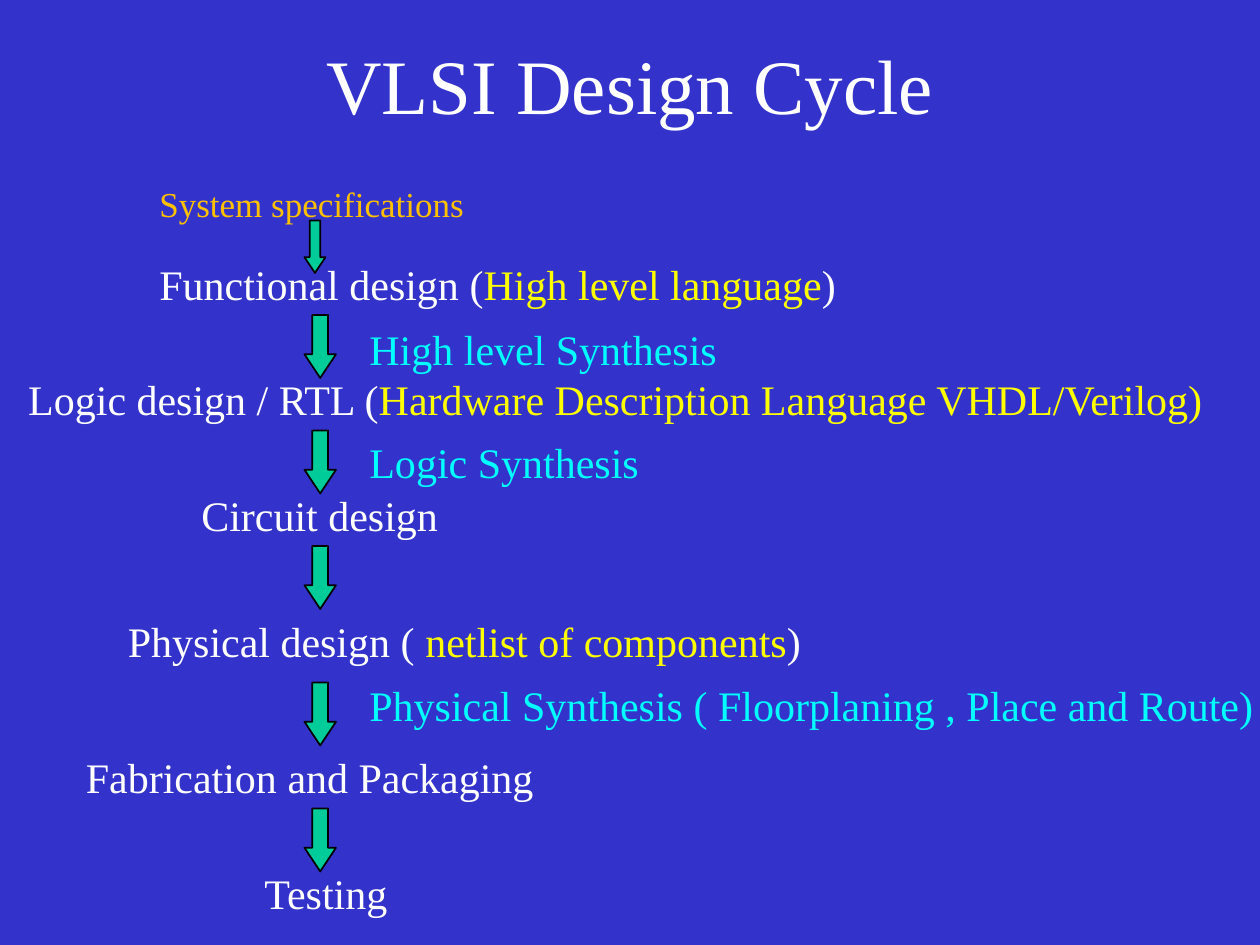
from dataclasses import dataclass

import pptx
import pptx.dml.color
import pptx.enum.shapes
import pptx.enum.text
import pptx.util

Pt = pptx.util.Pt
Anchor = pptx.enum.text.MSO_ANCHOR
Align = pptx.enum.text.PP_ALIGN
AutoSize = pptx.enum.text.MSO_AUTO_SIZE


@dataclass(frozen=True)
class Theme:
    font: str = "Times New Roman"
    background: str = "3333CC"
    text: str = "FFFFFF"
    specification: str = "FFC000"
    language: str = "FFFF00"
    synthesis: str = "00FFFF"
    arrow: str = "00CC99"
    outline: str = "000000"
    title_size: int = 44
    body_size: int = 24
    small_size: int = 20


THEME = Theme()

# left, top, width, height of a step in the flow box, type size, coloured runs
STEPS = [
    (75, 5, 222, 32, THEME.small_size,
     [("System specifications", THEME.specification)]),
    (75, 48, 456, 36, THEME.body_size,
     [("Functional design (", THEME.text),
      ("High level language", THEME.language), (")", THEME.text)]),
    (0, 114, 702, 36, THEME.body_size,
     [("Logic design / RTL (", THEME.text),
      ("Hardware Description Language VHDL/Verilog)", THEME.language)]),
    (99, 180, 540, 36, THEME.body_size, [("Circuit design", THEME.text)]),
    (57, 252, 462, 65, THEME.body_size,
     [("Physical design ( ", THEME.text),
      ("netlist of components", THEME.language), (")", THEME.text)]),
    (33, 330, 330, 36, THEME.body_size,
     [("Fabrication and Packaging", THEME.text)]),
    (135, 396, 102, 36, THEME.body_size, [("Testing", THEME.text)]),
]

# top, width, height
ARROWS = [(30, 12, 30)] + [(top, 18, 36) for top in (84, 150, 216, 294, 366)]
ARROW_LEFT = 165

# top, width, text
SYNTHESES = [
    (85.5, 213, "High level Synthesis"),
    (150, 168.5, "Logic Synthesis"),
    (288.5, 520.5, "Physical Synthesis ( Floorplaning , Place and Route)"),
]
SYNTHESIS_LEFT = 195


def rgb(color):
    return pptx.dml.color.RGBColor.from_string(color)


def apply_format(target, values):
    for name, value in values.items():
        setattr(target, name, value)


def add_text(slide, box, runs, size, align=Align.LEFT, **frame_format):
    """Add one line of coloured runs in a text box."""
    shape = slide.shapes.add_textbox(*map(Pt, box))
    frame = shape.text_frame
    apply_format(frame, {"word_wrap": True, "auto_size": AutoSize.NONE,
                         **frame_format})
    paragraph = frame.paragraphs[0]
    paragraph.alignment = align
    for text, color in runs:
        run = paragraph.add_run()
        run.text = text
        apply_format(run.font, {"name": THEME.font, "size": Pt(size)})
        run.font.color.rgb = rgb(color)


def add_down_arrow(slide, box):
    shape = slide.shapes.add_shape(
        pptx.enum.shapes.MSO_SHAPE.DOWN_ARROW, *map(Pt, box))
    shape.shadow.inherit = False
    shape.adjustments[0] = 0.5
    shape.adjustments[1] = 0.75
    shape.fill.solid()
    shape.fill.fore_color.rgb = rgb(THEME.arrow)
    shape.line.color.rgb = rgb(THEME.outline)
    shape.line.width = Pt(1)


def add_title(slide, box):
    add_text(slide, box, [("VLSI Design Cycle", THEME.text)],
             THEME.title_size, Align.CENTER, vertical_anchor=Anchor.MIDDLE)


def add_design_flow(slide, box):
    """Place the steps, the arrows between them and the synthesis labels."""
    x, y = box[:2]
    for left, top, width, height, size, runs in STEPS:
        add_text(slide, (x + left, y + top, width, height), runs, size,
                 auto_size=AutoSize.SHAPE_TO_FIT_TEXT)
    for top, width, height in ARROWS:
        add_down_arrow(slide, (x + ARROW_LEFT, y + top, width, height))
    for top, width, text in SYNTHESES:
        add_text(slide, (x + SYNTHESIS_LEFT, y + top, width, 36),
                 [(text, THEME.synthesis)], THEME.body_size, word_wrap=False)


def main():
    presentation = pptx.Presentation()
    apply_format(presentation, {"slide_width": Pt(720),
                                "slide_height": Pt(540)})
    slide = presentation.slides.add_slide(presentation.slide_layouts[6])
    slide.background.fill.solid()
    slide.background.fill.fore_color.rgb = rgb(THEME.background)
    add_title(slide, (54, 18, 612, 60))
    add_design_flow(slide, (9, 96, 702, 432))
    presentation.save("out.pptx")


if __name__ == "__main__":
    main()
